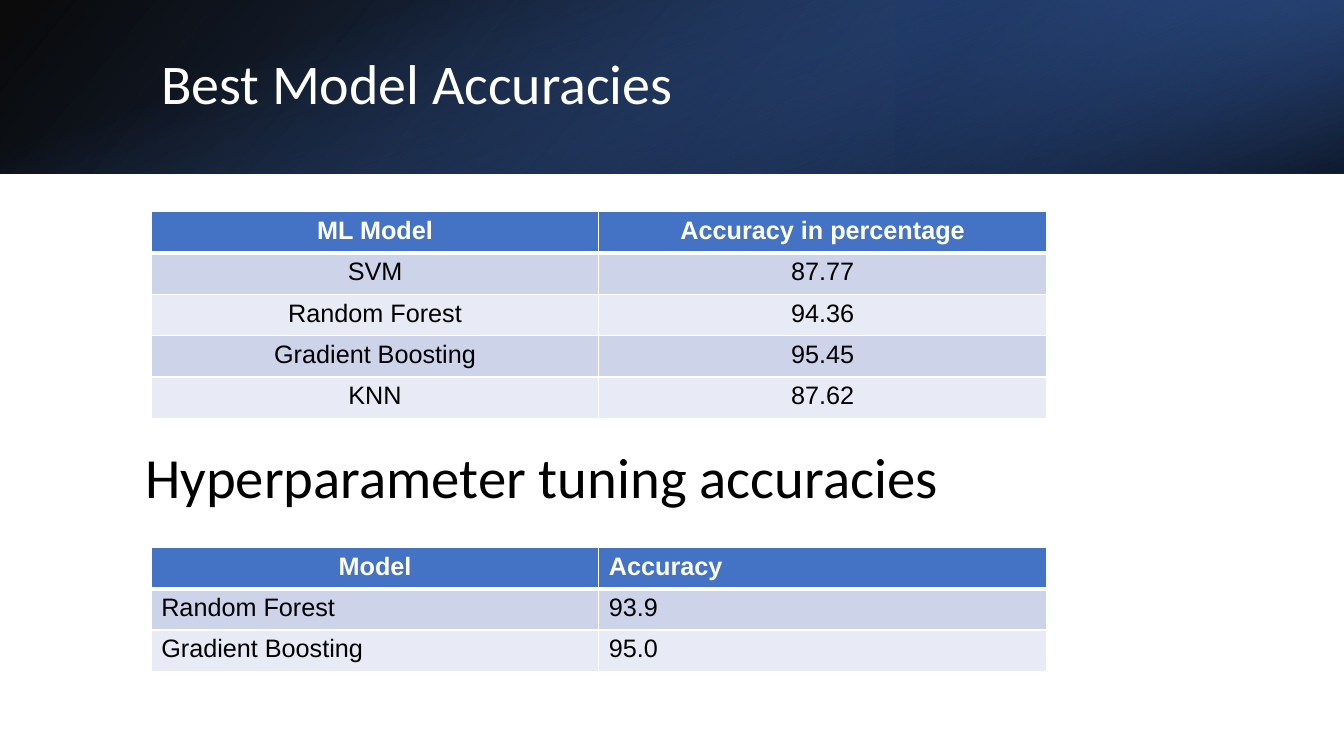
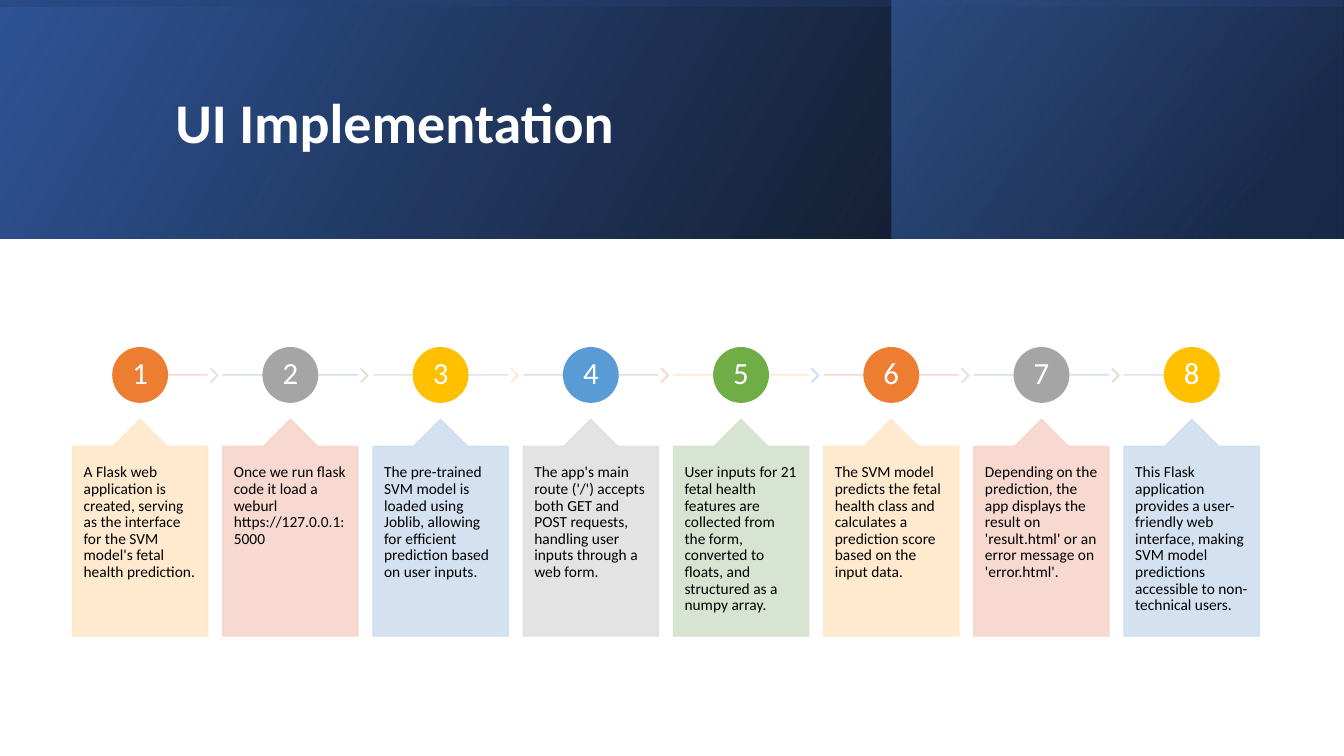
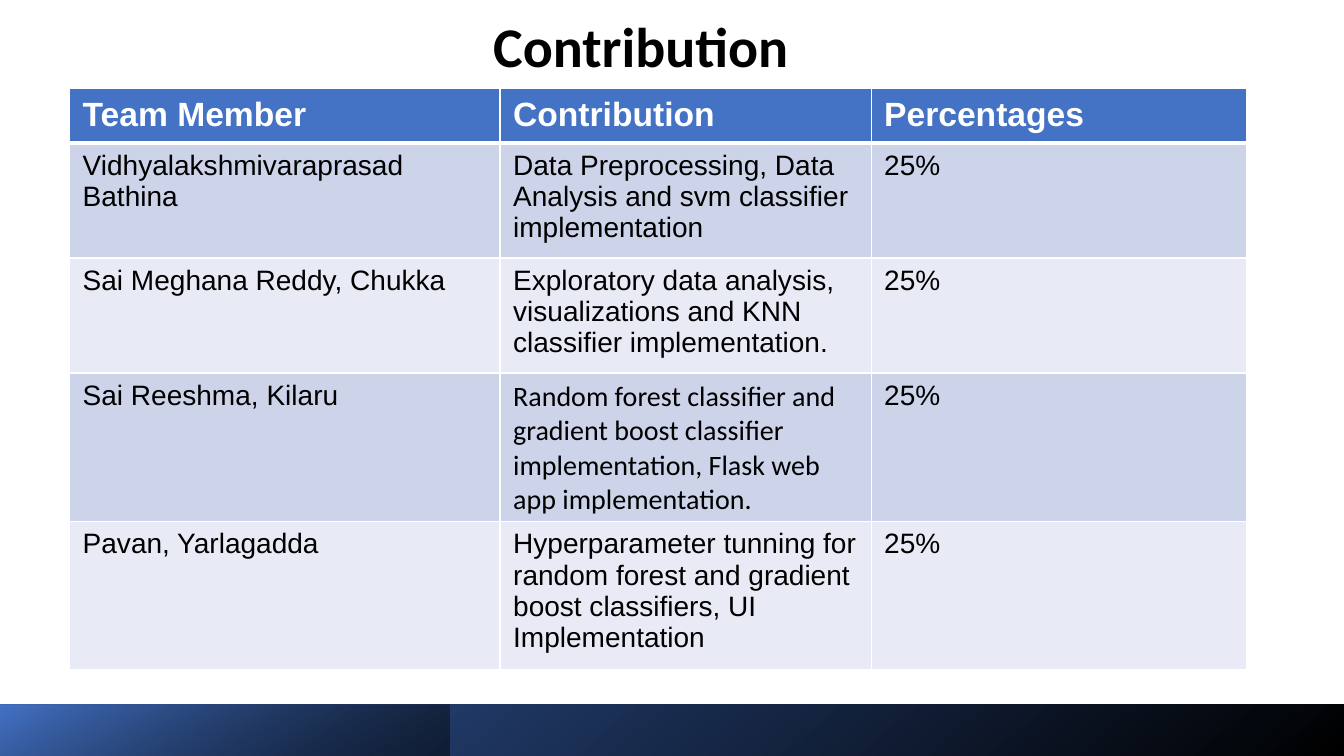
from lxml import etree
from pptx import Presentation
from pptx.dml.color import RGBColor
from pptx.enum.shapes import MSO_CONNECTOR, MSO_SHAPE
from pptx.enum.text import MSO_ANCHOR, PP_ALIGN
from pptx.oxml.ns import qn
from pptx.util import Inches, Pt

RECT, OVAL = MSO_SHAPE.RECTANGLE, MSO_SHAPE.OVAL
CHEVRON, CALLOUT = MSO_SHAPE.CHEVRON, MSO_SHAPE.UP_ARROW_CALLOUT
LEFT, CENTER = PP_ALIGN.LEFT, PP_ALIGN.CENTER
TOP, MIDDLE = MSO_ANCHOR.TOP, MSO_ANCHOR.MIDDLE
LINE = MSO_CONNECTOR.STRAIGHT

# Shared look
WIDE, HIGH = 13.33, 7.5
SANS, BODY = "Calibri", "Arial"
WHITE, BLACK, NAVY = "FFFFFF", "000000", "1F3864"
BLUE, DEEP = "4472C4", "2F5496"
BANDS = ["CDD4EA", "E8EBF5"]
TINTS = ["FFE8CA", "F7D5CB", "CFDEEF", "E0E0E0", "D4E2CE"]
DISCS = ["ED7D31", "A5A5A5", "FFC000", "599BD5", "70AD47"]

# Content: tables
MODELS = [
    ("ML Model", "Accuracy in percentage"),
    ("SVM", "87.77"),
    ("Random Forest", "94.36"),
    ("Gradient Boosting", "95.45"),
    ("KNN", "87.62"),
]
TUNED = [
    ("Model", "Accuracy"),
    ("Random Forest", "93.9"),
    ("Gradient Boosting", "95.0"),
]
TEAM = [
    ("Team Member", "Contribution", "Percentages"),
    ("Vidhyalakshmivaraprasad Bathina",
     "Data Preprocessing, Data Analysis and svm classifier implementation", "25%"),
    ("Sai Meghana Reddy, Chukka",
     "Exploratory data analysis, visualizations and KNN classifier implementation.", "25%"),
    ("Sai Reeshma, Kilaru",
     "Random forest classifier and gradient boost classifier implementation, "
     "Flask web app implementation.", "25%"),
    ("Pavan, Yarlagadda",
     "Hyperparameter tunning for random forest and gradient boost classifiers, "
     "UI Implementation", "25%"),
]

# Content: steps
STEPS = [
    "A Flask web application is created, serving as the interface for the SVM model's "
    "fetal health prediction.",
    "Once we run flask code it load a weburl https://127.0.0.1:5000",
    "The pre-trained SVM model is loaded using Joblib, allowing for efficient prediction "
    "based on user inputs.",
    "The app's main route ('/') accepts both GET and POST requests, handling user inputs "
    "through a web form.",
    "User inputs for 21 fetal health features are collected from the form, converted to "
    "floats, and structured as a numpy array.",
    "The SVM model predicts the fetal health class and calculates a prediction score "
    "based on the input data.",
    "Depending on the prediction, the app displays the result on 'result.html' or an "
    "error message on 'error.html'.",
    "This Flask application provides a user-friendly web interface, making SVM model "
    "predictions accessible to non-technical users.",
]

# Gradient layers: box, turn, flip, angle, stops (place, colour, opacity)
HEAD = 1.72
MODEL_BAND = [
    ((0, 0, WIDE, HEAD), 0, True, 140, [(0, BLACK, 96), (100, DEEP, 100)]),
    ((WIDE * 2 / 3, 0, WIDE / 3, HEAD), 180, True, 320,
     [(0, NAVY, 68), (19, NAVY, 68), (100, BLUE, 79)]),
    (((WIDE - HEAD) / 2, (HEAD - WIDE) / 2, HEAD, WIDE), 90, False, 340,
     [(0, BLUE, 0), (23, BLUE, 0), (99, BLACK, 74), (100, BLACK, 74)]),
]
TALL = 2.37
STEP_BAND = [
    ((0, 0, WIDE, TALL), 0, True, 330, [(0, BLACK, 96), (100, DEEP, 100)]),
    ((8.84, 0, 4.48, TALL), 0, True, 320,
     [(0, NAVY, 68), (19, NAVY, 68), (100, BLUE, 48)]),
    (((WIDE - TALL) / 2, (TALL - WIDE) / 2, TALL, WIDE), 270, True, 350,
     [(0, DEEP, 16), (23, DEEP, 16), (99, BLACK, 45), (100, BLACK, 45)]),
]
FOOT = 0.51
TEAM_BAND = [
    ((0, HIGH - FOOT, WIDE, FOOT), 0, False, 230, [(0, BLACK, 100), (100, DEEP, 100)]),
    ((0, HIGH - FOOT, 4.46, FOOT), 0, False, 240,
     [(0, BLACK, 46), (99, BLUE, 100), (100, BLUE, 100)]),
]


def color(code):
    return RGBColor.from_string(code)


def node(parent, tag, **attrs):
    item = etree.SubElement(parent, qn(tag))
    for key, value in attrs.items():
        item.set(key, str(value))
    return item


def fade(shape, share):
    """Set the opacity of every colour of a shape, in percent."""
    for item in shape._element.spPr.iter(qn("a:srgbClr")):
        node(item, "a:alpha", val=share * 1000)


def write(frame, text, size, code, font=SANS, bold=False, align=LEFT,
          anchor=MIDDLE, pad=(0.1, 0.05), lead=0.9):
    frame.word_wrap = True
    frame.vertical_anchor = anchor
    frame.margin_left = frame.margin_right = Inches(pad[0])
    frame.margin_top = frame.margin_bottom = Inches(pad[1])
    style(frame.paragraphs[0], text, size, code, font, bold, align)
    frame.paragraphs[0].line_spacing = lead


def style(para, text, size, code, font, bold, align):
    para.alignment = align
    run = para.add_run()
    run.text = text
    run.font.size, run.font.name, run.font.bold = Pt(size), font, bold
    run.font.color.rgb = color(code)


def label(slide, box, text, size=40, code=WHITE, **look):
    area = slide.shapes.add_textbox(*map(Inches, box))
    write(area.text_frame, text, size, code, **look)


def solid(slide, kind, box, code, adjust=()):
    shape = slide.shapes.add_shape(kind, *map(Inches, box))
    shape.shadow.inherit = False
    shape.fill.solid()
    shape.fill.fore_color.rgb = shape.line.color.rgb = color(code)
    shape.line.width = Pt(1)
    for place, value in enumerate(adjust):
        shape.adjustments[place] = value
    return shape


def band(slide, layers):
    for box, turn, flip, angle, stops in layers:
        shape = slide.shapes.add_shape(RECT, *map(Inches, box))
        shape.shadow.inherit = False
        shape.line.fill.background()
        shape.rotation = turn
        props = shape._element.spPr
        if flip:
            props.find(qn("a:xfrm")).set("flipH", "1")
        shape.fill.gradient()
        grad = props.find(qn("a:gradFill"))
        for child in list(grad):
            grad.remove(child)
        ramp = node(grad, "a:gsLst")
        for place, code, share in stops:
            stop = node(ramp, "a:gs", pos=place * 1000)
            tone = node(stop, "a:srgbClr", val=code)
            node(tone, "a:alpha", val=share * 1000)
        node(grad, "a:lin", ang=angle * 60000, scaled=0)


def edge(cell, head):
    props = cell._tc.get_or_add_tcPr()
    for side in "LRTB":
        width = 3 if head and side == "B" else 1
        line = node(props, f"a:ln{side}", w=Pt(width))
        node(node(line, "a:solidFill"), "a:srgbClr", val=WHITE)


def grid(slide, left, top, cols, rows, data, sizes=(18, 18), pad=(0.1, 0.05),
         aligned=lambda row, col: LEFT, fonts=None):
    box = map(Inches, (left, top, sum(cols), sum(rows)))
    table = slide.shapes.add_table(len(rows), len(cols), *box).table
    table.horz_banding = False
    for col, width in enumerate(cols):
        table.columns[col].width = Inches(width)
    for row, height in enumerate(rows):
        table.rows[row].height = Inches(height)
        head = row == 0
        for col, text in enumerate(data[row]):
            cell = table.cell(row, col)
            edge(cell, head)
            cell.fill.solid()
            cell.fill.fore_color.rgb = color(BLUE if head else BANDS[(row - 1) % 2])
            cell.margin_left = cell.margin_right = Inches(pad[0])
            cell.margin_top = cell.margin_bottom = Inches(pad[1])
            font = (fonts or {}).get((row, col), BODY)
            style(cell.text_frame.paragraphs[0], text, sizes[0 if head else 1],
                  WHITE if head else BLACK, font, head, aligned(row, col))


def models(slide):
    band(slide, MODEL_BAND)
    label(slide, (1.5, 0.38, 10.98, 0.96), "Best Model Accuracies")
    cols, row = [4.44] * 2, 0.41
    grid(slide, 1.5, 2.1, cols, [row] * len(MODELS), MODELS,
         aligned=lambda row, col: CENTER)
    label(slide, (1.34, 4.27, 10.66, 0.98), "Hyperparameter tuning accuracies",
          size=40.5, code=BLACK)
    grid(slide, 1.5, 5.43, cols, [row] * len(TUNED), TUNED,
         aligned=lambda row, col: CENTER if row == col == 0 else LEFT)


def steps(slide):
    band(slide, STEP_BAND)
    label(slide, (1.64, 0.38, 10.5, 1.72), "UI Implementation", bold=True)
    first, pitch, width = 0.72, 1.49, 1.34
    axis, disc, last = 3.72, 0.54, len(STEPS) - 1
    for i, text in enumerate(STEPS):
        left = first + i * pitch
        mid = left + width / 2
        # Time line and the chevron after it
        start = mid if i == 0 else left
        end = mid if i == last else left + width
        line = slide.shapes.add_connector(
            LINE, *map(Inches, (start, axis, end, axis)))
        line.line.width = Pt(1)
        line.line.color.rgb = color(TINTS[(i + 1) % 5])
        node(line._element.spPr, "a:effectLst")
        fade(line, 90)
        if i < last:
            mark = solid(slide, CHEVRON, (left + width + 0.03, axis - 0.06, 0.07, 0.13),
                         TINTS[(i + 3) % 5], [0.9])
            fade(mark, 90)
        # Numbered disc and its note
        dot = solid(slide, OVAL, (mid - disc / 2, axis - disc / 2, disc, disc),
                    DISCS[i % 5])
        write(dot.text_frame, str(i + 1), 22, WHITE, align=CENTER, pad=(0.02, 0.02))
        note = solid(slide, CALLOUT, (left, 4.16, width, 2.15), TINTS[i % 5],
                     [0.5, 0.2, 0.2, 1])
        fade(note, 90)
        write(note.text_frame, text, 11, BLACK, anchor=TOP, pad=(0.11, 0.18))


def team(slide):
    label(slide, (0.79, 0.13, 11.13, 0.72), "Contribution", code=BLACK,
          bold=True, align=CENTER)
    band(slide, TEAM_BAND)
    grid(slide, 0.69, 0.88, [4.27, 3.68, 3.72], [0.49, 1.08, 1.08, 1.4, 1.4], TEAM,
         sizes=(24, 20), pad=(0.13, 0.07), fonts={(3, 1): SANS})


def main():
    deck = Presentation()
    deck.slide_width, deck.slide_height = Inches(WIDE), Inches(HIGH)
    for draw in (models, steps, team):
        draw(deck.slides.add_slide(deck.slide_layouts[6]))
    deck.save("out.pptx")


if __name__ == "__main__":
    main()
